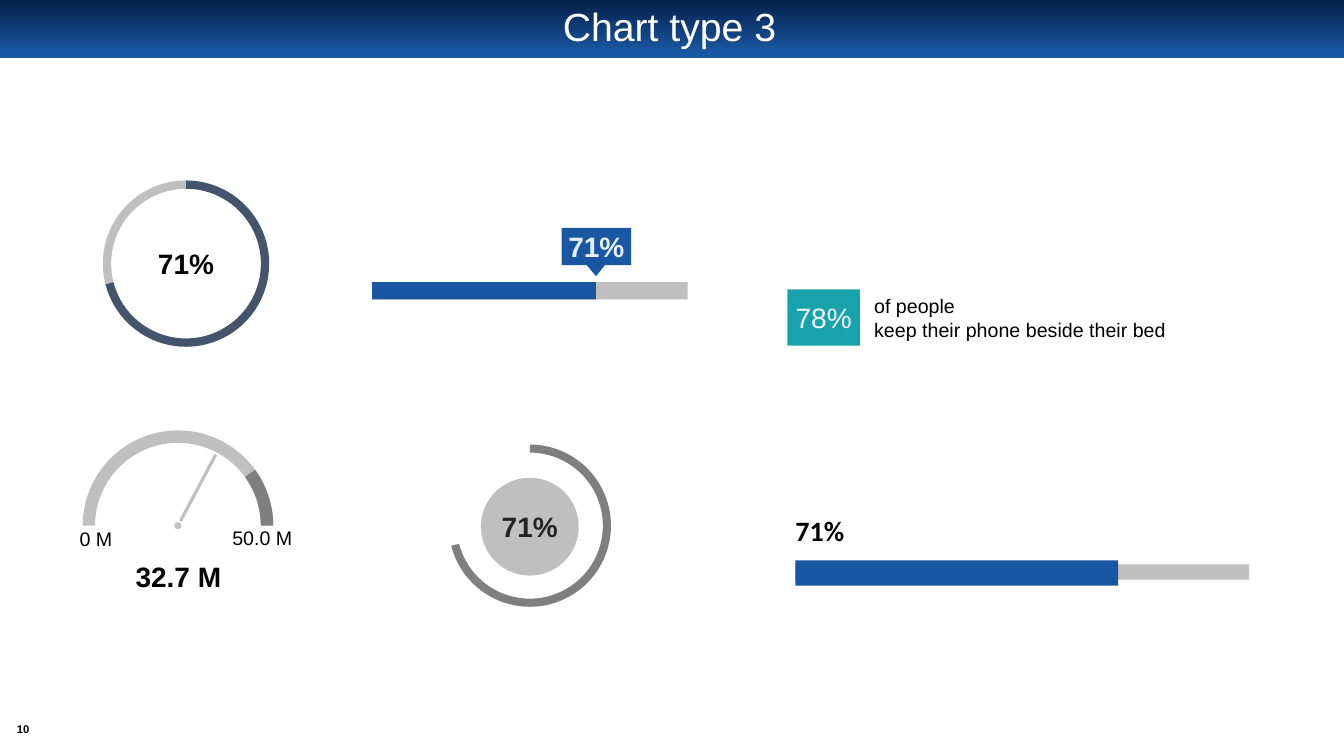
from dataclasses import dataclass

from lxml.etree import SubElement
from pptx import Presentation
from pptx.dml.color import RGBColor
from pptx.enum.shapes import MSO_CONNECTOR, MSO_SHAPE as SHAPE
from pptx.enum.text import MSO_ANCHOR as ANCHOR, MSO_AUTO_SIZE, PP_ALIGN as ALIGN
from pptx.oxml.ns import qn
from pptx.util import Emu, Pt

PX = 9144  # EMU per px, 100 px to the inch
SHARE = 0.71
TOP_ANGLE = 270
SHARE_ANGLE = (TOP_ANGLE + 360 * SHARE) % 360


@dataclass(frozen=True)
class Theme:
    font: str = "Arial"
    alt_font: str = "Calibri"
    navy: str = "052049"
    blue: str = "1957A3"
    slate: str = "44546A"
    teal: str = "18A3AC"
    track: str = "BFBFBF"
    gray: str = "7F7F7F"
    black: str = "000000"
    charcoal: str = "232323"
    white: str = "FFFFFF"
    pale_blue: str = "E5F0F7"
    pale_gray: str = "F5F5F5"
    title: int = 28
    figure: int = 20
    body: int = 14
    page: int = 8


T = Theme()


@dataclass(frozen=True)
class Box:
    x: int
    y: int
    w: int
    h: int

    def emu(self) -> tuple:
        return tuple(Emu(v * PX) for v in (self.x, self.y, self.w, self.h))


@dataclass(frozen=True)
class Arc:
    box: Box
    start: float
    end: float
    thickness: float
    color: str


@dataclass(frozen=True)
class Bar:
    """A track with its filled share, both centred on one line."""
    x: int
    middle: int
    w: int
    track_h: int
    fill_h: int


def write_text(sp, text: str, *, size: int = T.figure, color: str = T.black,
               bold: bool = False, font: str = T.font, align=ALIGN.CENTER,
               anchor=ANCHOR.MIDDLE, wrap: bool = True, inset: bool = False,
               spacing: float | None = None) -> None:
    tf = sp.text_frame
    tf.auto_size = MSO_AUTO_SIZE.NONE
    tf.word_wrap = wrap
    tf.vertical_anchor = anchor
    if not inset:
        tf.margin_left = tf.margin_right = tf.margin_top = tf.margin_bottom = 0
    for i, line in enumerate(text.split("\n")):
        p = tf.paragraphs[0] if i == 0 else tf.add_paragraph()
        p.alignment = align
        if spacing:
            p.line_spacing = spacing
        r = p.add_run()
        r.text = line
        r.font.name, r.font.size, r.font.bold = font, Pt(size), bold
        r.font.color.rgb = RGBColor.from_string(color)


def add_shape(shapes, kind, box: Box, color: str | None = None):
    sp = shapes.add_shape(kind, *box.emu())
    sp.shadow.inherit = False
    sp.line.fill.background()
    if color:
        sp.fill.solid()
        sp.fill.fore_color.rgb = RGBColor.from_string(color)
    else:
        sp.fill.background()
    return sp


def add_label(shapes, box: Box, text: str, **style) -> None:
    write_text(shapes.add_textbox(*box.emu()), text, **style)


def add_arc(shapes, arc: Arc) -> None:
    sp = add_shape(shapes, SHAPE.BLOCK_ARC, arc.box, arc.color)
    # Angles are stored in 60000ths of a degree, adjustments in 100000ths.
    for i, value in enumerate((arc.start * 0.6, arc.end * 0.6, arc.thickness)):
        sp.adjustments[i] = value


def add_bar(shapes, bar: Bar) -> None:
    for w, h, color in ((bar.w, bar.track_h, T.track),
                        (round(bar.w * SHARE), bar.fill_h, T.blue)):
        add_shape(shapes, SHAPE.RECTANGLE,
                  Box(bar.x, round(bar.middle - h / 2), w, h), color)


def add_needle(shapes, x1: int, y1: int, x2: int, y2: int) -> None:
    line = shapes.add_connector(MSO_CONNECTOR.STRAIGHT,
                                *(Emu(v * PX) for v in (x1, y1, x2, y2)))
    line.line.color.rgb = RGBColor.from_string(T.track)
    line.line.width = Pt(2.25)
    SubElement(line.element.spPr, qn("a:effectLst"))


def add_header(slide) -> None:
    title = slide.shapes.title
    title.left, title.top, title.width, title.height = Box(66, 6, 1196, 45).emu()
    write_text(title, "Chart type 3", size=T.title, color=T.white,
               inset=True, spacing=0.9)
    band = add_shape(slide.shapes, SHAPE.ROUNDED_RECTANGLE, Box(0, 0, 1333, 58))
    band.adjustments[0] = 0
    band.fill.gradient()
    band.fill.gradient_angle = 270
    for stop, position, color in zip(band.fill.gradient_stops, (0, 0.9),
                                     (T.navy, T.blue)):
        stop.position = position
        stop.color.rgb = RGBColor.from_string(color)
    title.element.addprevious(band.element)


def add_ring(shapes) -> None:
    box = Box(102, 179, 165, 165)
    add_arc(shapes, Arc(box, SHARE_ANGLE, TOP_ANGLE, 0.05, T.track))
    add_arc(shapes, Arc(box, TOP_ANGLE, SHARE_ANGLE, 0.05, T.slate))
    write_text(add_shape(shapes, SHAPE.OVAL, box), "71%", bold=True,
               wrap=False, inset=True)


def add_flagged_bar(shapes) -> None:
    add_bar(shapes, Bar(369, 288, 313, 17, 17))
    flag = add_shape(shapes, SHAPE.RECTANGLE, Box(557, 226, 69, 37), T.blue)
    write_text(flag, "71%", color=T.pale_blue, bold=True)
    pointer = add_shape(shapes, SHAPE.ISOSCELES_TRIANGLE,
                        Box(582, 263, 18, 11), T.blue)
    pointer.rotation = 180


def add_gauge(shapes) -> None:
    box = Box(82, 427, 189, 189)
    for start, color in ((180, T.track), (180 + 180 * 0.8, T.gray)):
        add_arc(shapes, Arc(box, start, 0, 0.065, color))
    add_shape(shapes, SHAPE.OVAL, Box(173, 518, 7, 7), T.track)
    add_needle(shapes, 179, 517, 214, 451)
    add_label(shapes, Box(79, 522, 47, 24), "0 M", size=T.body, align=ALIGN.LEFT)
    add_label(shapes, Box(230, 521, 60, 24), "50.0 M", size=T.body, align=ALIGN.RIGHT)
    add_label(shapes, Box(106, 543, 142, 45), "32.7 M", bold=True,
              anchor=ANCHOR.BOTTOM, wrap=False)


def add_statement(shapes) -> None:
    tile = add_shape(shapes, SHAPE.RECTANGLE, Box(781, 287, 72, 56), T.teal)
    write_text(tile, "78%", color=T.pale_gray, wrap=False)
    add_label(shapes, Box(867, 287, 382, 56),
              "of people\nkeep their phone beside their bed",
              size=T.body, align=ALIGN.LEFT)


def add_open_ring(shapes) -> None:
    add_arc(shapes, Arc(Box(445, 441, 161, 161), TOP_ANGLE, SHARE_ANGLE, 0.05, T.gray))
    disc = add_shape(shapes, SHAPE.OVAL, Box(477, 474, 97, 97), T.track)
    write_text(disc, "71%", color=T.charcoal, bold=True, wrap=False, inset=True)


def add_labelled_bar(shapes) -> None:
    add_bar(shapes, Bar(789, 568, 450, 15, 25))
    add_label(shapes, Box(789, 463, 450, 80), "71%", font=T.alt_font, bold=True,
              align=ALIGN.LEFT, anchor=ANCHOR.BOTTOM)


def main() -> None:
    prs = Presentation()
    prs.slide_width, prs.slide_height = Emu(1333 * PX), Emu(750 * PX)
    slide = prs.slides.add_slide(prs.slide_layouts.get_by_name("Title Only"))
    add_header(slide)
    add_label(slide.shapes, Box(8, 714, 30, 19), "10", size=T.page, bold=True, wrap=False)
    for draw in (add_ring, add_flagged_bar, add_gauge, add_statement,
                 add_open_ring, add_labelled_bar):
        draw(slide.shapes.add_group_shape().shapes)
    prs.save("out.pptx")


if __name__ == "__main__":
    main()
